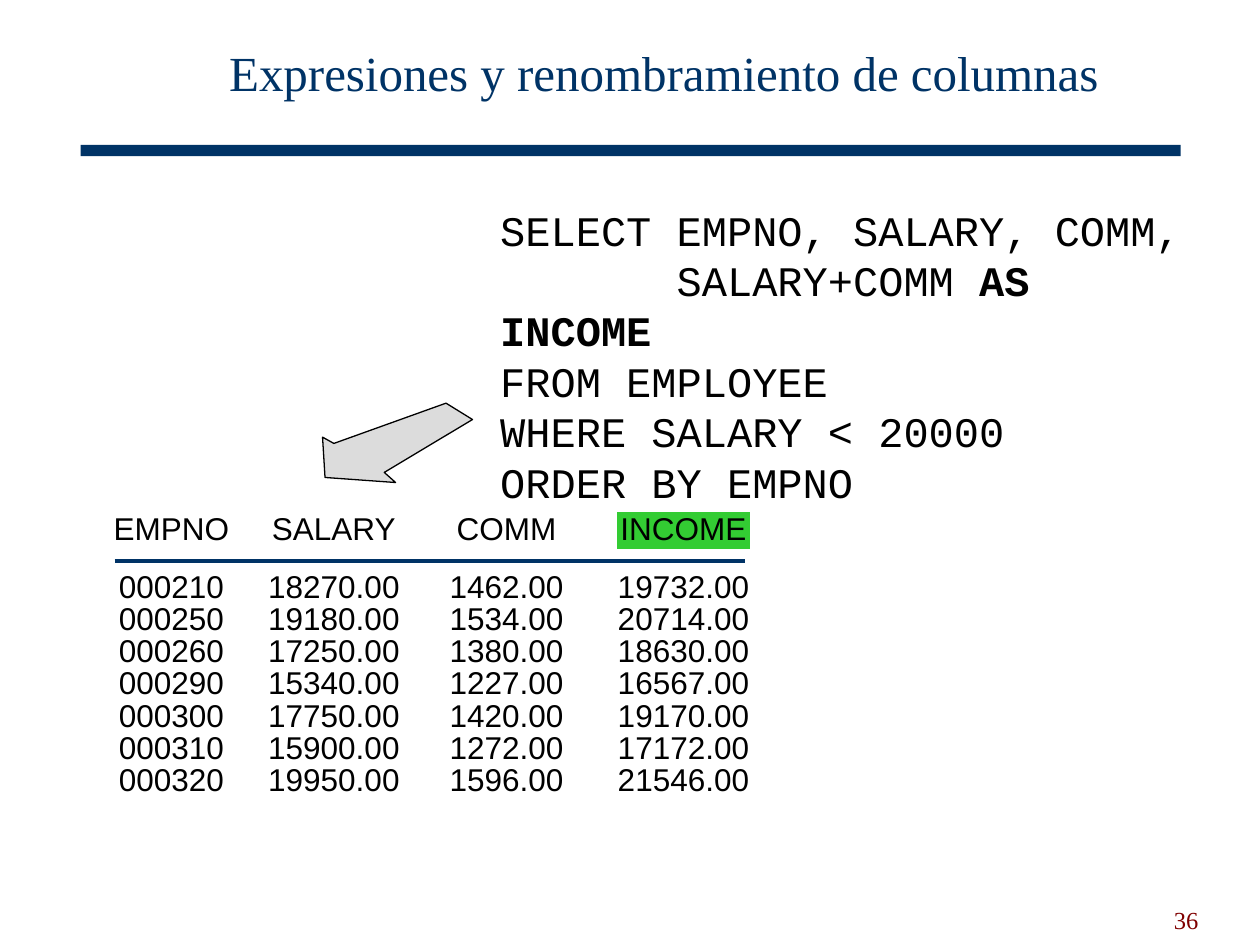
from dataclasses import dataclass

from lxml import etree
from pptx import Presentation
from pptx.dml.color import RGBColor
from pptx.enum import shapes, text
from pptx.oxml.ns import qn
from pptx.util import Inches, Pt


@dataclass(frozen=True)
class Theme:
    navy: RGBColor = RGBColor(0x00, 0x33, 0x66)
    maroon: RGBColor = RGBColor(0x80, 0x00, 0x00)
    green: RGBColor = RGBColor(0x33, 0xCC, 0x33)
    gray: RGBColor = RGBColor(0xDC, 0xDC, 0xDC)
    black: RGBColor = RGBColor(0x00, 0x00, 0x00)
    serif: str = "Times New Roman"
    sans: str = "Arial"
    mono: str = "Courier New"
    title_size: int = 28
    code_size: int = 24
    table_size: int = 18
    page_size: int = 14


@dataclass(frozen=True)
class Box:
    left: float
    top: float
    width: float
    height: float

    def inches(self) -> tuple:
        return tuple(map(Inches, (self.left, self.top, self.width, self.height)))


@dataclass(frozen=True)
class Column:
    header: str
    width: float
    values: tuple
    right_margin: float = 0
    highlighted: bool = False


THEME = Theme()
NO_TABLE_STYLE = "{2D5ABB26-0587-4C30-8999-92F81FD0307C}"
HEADER_HEIGHT, FIRST_ROW_HEIGHT, ROW_HEIGHT = 0.3, 0.44, 1.54 / 6

COLUMNS = (
    Column("EMPNO", 1.02, ("000210", "000250", "000260", "000290",
                           "000300", "000310", "000320")),
    Column("SALARY", 1.56, ("18270.00", "19180.00", "17250.00", "15340.00",
                            "17750.00", "15900.00", "19950.00")),
    Column("COMM", 1.47, ("1462.00", "1534.00", "1380.00", "1227.00",
                          "1420.00", "1272.00", "1596.00"), right_margin=0.29),
    Column("INCOME", 1.05, ("19732.00", "20714.00", "18630.00", "16567.00",
                            "19170.00", "17172.00", "21546.00"), highlighted=True),
)

# Each line is a plain part followed by a bold part
QUERY = (
    ("SELECT EMPNO, SALARY, COMM,", ""),
    ("       SALARY+COMM ", "AS INCOME"),
    ("FROM EMPLOYEE", ""),
    ("WHERE SALARY < 20000", ""),
    ("ORDER BY EMPNO", ""),
)

ARROW = ((3.75, 3.33), (3.54, 3.2), (2.65, 3.52), (2.56, 3.47),
         (2.58, 3.79), (3.14, 3.83), (3.05, 3.75))


def style(p, name: str, size: int, color: RGBColor, align=text.PP_ALIGN.LEFT) -> None:
    p.alignment = align
    p.font.name, p.font.size = name, Pt(size)
    p.font.color.rgb = color


def add_label(slide, box: Box, label: str, size: int, color: RGBColor,
              align, anchor) -> None:
    tf = slide.shapes.add_textbox(*box.inches()).text_frame
    tf.word_wrap = True
    tf.vertical_anchor = anchor
    p = tf.paragraphs[0]
    p.text = label
    p.line_spacing = 0.85
    style(p, THEME.serif, size, color, align)


def add_title_bar(slide) -> None:
    sp = slide.shapes.add_shape(shapes.MSO_SHAPE.RECTANGLE,
                                *Box(0.64, 1.15, 8.73, 0.09).inches())
    sp.shadow.inherit = False
    sp.fill.solid()
    sp.fill.fore_color.rgb = THEME.navy
    sp.line.fill.background()


def add_query(slide, box: Box) -> None:
    tf = slide.shapes.add_textbox(*box.inches()).text_frame
    tf.margin_left = tf.margin_top = tf.margin_right = tf.margin_bottom = 0
    tf.word_wrap = False
    for i, (plain, bold) in enumerate(QUERY):
        p = tf.add_paragraph() if i else tf.paragraphs[0]
        p.add_run().text = plain
        if bold:
            r = p.add_run()
            r.text = bold
            r.font.bold = True
        style(p, THEME.mono, THEME.code_size, THEME.black)


def add_arrow(slide) -> None:
    start, *rest = [(Inches(x), Inches(y)) for x, y in ARROW]
    builder = slide.shapes.build_freeform(*start)
    builder.add_line_segments(rest, close=True)
    sp = builder.convert_to_shape()
    sp.shadow.inherit = False
    sp.fill.solid()
    sp.fill.fore_color.rgb = THEME.gray
    sp.line.color.rgb = THEME.black
    sp.line.width = Pt(0.75)


def fill_cell(cell, column: Column, value: str, is_header: bool) -> None:
    cell.margin_left = cell.margin_top = cell.margin_bottom = 0
    cell.margin_right = Inches(column.right_margin)
    cell.vertical_anchor = text.MSO_ANCHOR.TOP if is_header else text.MSO_ANCHOR.BOTTOM
    if is_header and column.highlighted:
        cell.fill.solid()
        cell.fill.fore_color.rgb = THEME.green
    else:
        cell.fill.background()
    p = cell.text_frame.paragraphs[0]
    p.text = value
    if not is_header:
        p.line_spacing = Pt(THEME.table_size)
    style(p, THEME.sans, THEME.table_size, THEME.black, text.PP_ALIGN.CENTER)


def add_result_table(slide, left: float, top: float) -> None:
    data_rows = len(COLUMNS[0].values)
    heights = [HEADER_HEIGHT, FIRST_ROW_HEIGHT] + [ROW_HEIGHT] * (data_rows - 1)
    box = Box(left, top, sum(c.width for c in COLUMNS), sum(heights))
    table = slide.shapes.add_table(len(heights), len(COLUMNS), *box.inches()).table
    table.first_row = table.horz_banding = False
    table._tbl.tblPr.find(qn("a:tableStyleId")).text = NO_TABLE_STYLE
    for row, height in zip(table.rows, heights):
        row.height = Inches(height)
    for c, column in enumerate(COLUMNS):
        table.columns[c].width = Inches(column.width)
        for r, value in enumerate((column.header, *column.values)):
            fill_cell(table.cell(r, c), column, value, is_header=r == 0)


def add_header_rule(slide) -> None:
    line = slide.shapes.add_connector(shapes.MSO_CONNECTOR.STRAIGHT,
                                      Inches(0.91), Inches(4.45),
                                      Inches(5.91), Inches(4.45))
    line.line.color.rgb = THEME.navy
    line.line.width = Pt(2.25)
    etree.SubElement(line._element.spPr, qn("a:effectLst"))


def main() -> None:
    prs = Presentation()
    prs.slide_width, prs.slide_height = Inches(10), Inches(7.5)
    slide = prs.slides.add_slide(prs.slide_layouts[6])
    add_title_bar(slide)
    add_label(slide, Box(7.21, 6.97, 2.4, 0.5), "36", THEME.page_size, THEME.maroon,
              text.PP_ALIGN.RIGHT, text.MSO_ANCHOR.BOTTOM)
    add_label(slide, Box(1.23, 0.14, 8.08, 0.94),
              "Expresiones y renombramiento de columnas", THEME.title_size,
              THEME.navy, text.PP_ALIGN.CENTER, text.MSO_ANCHOR.MIDDLE)
    add_query(slide, Box(3.97, 1.62, 5.6, 2))
    add_arrow(slide)
    add_result_table(slide, 0.85, 4.06)
    add_header_rule(slide)
    prs.save("out.pptx")


if __name__ == "__main__":
    main()
